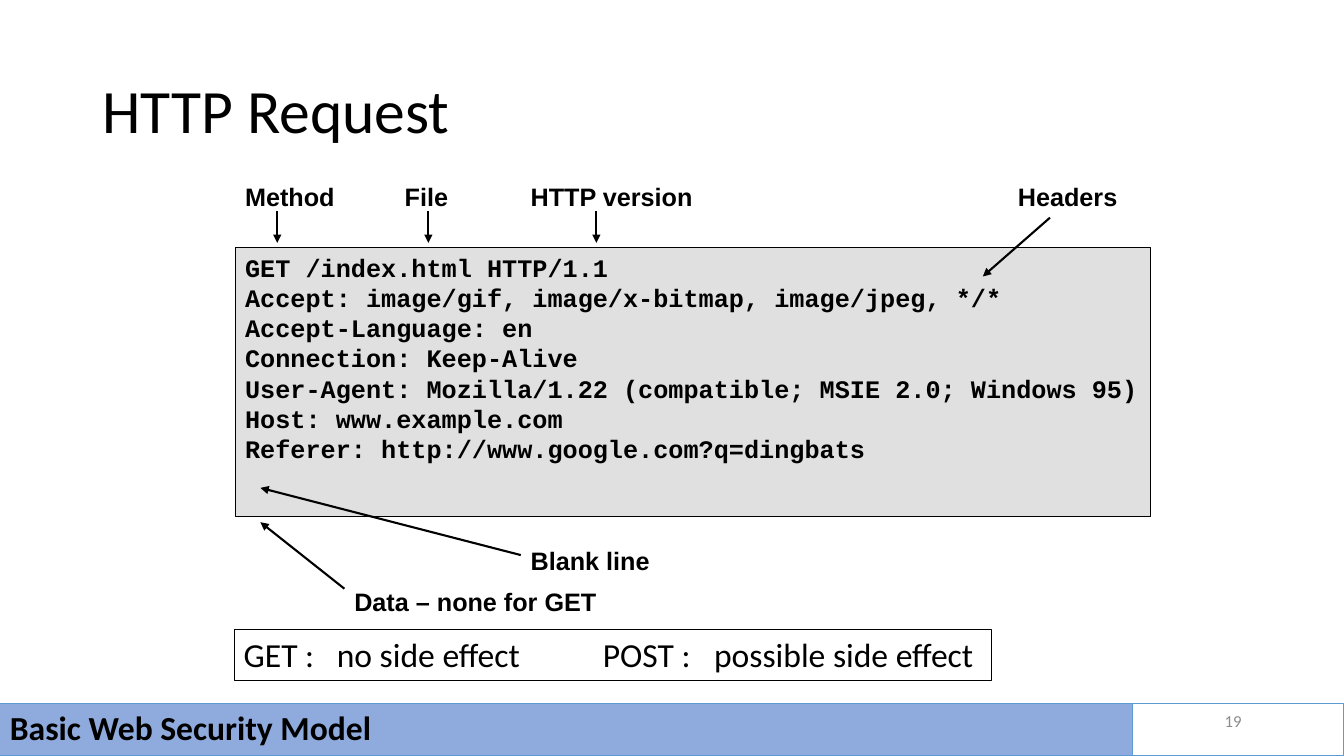
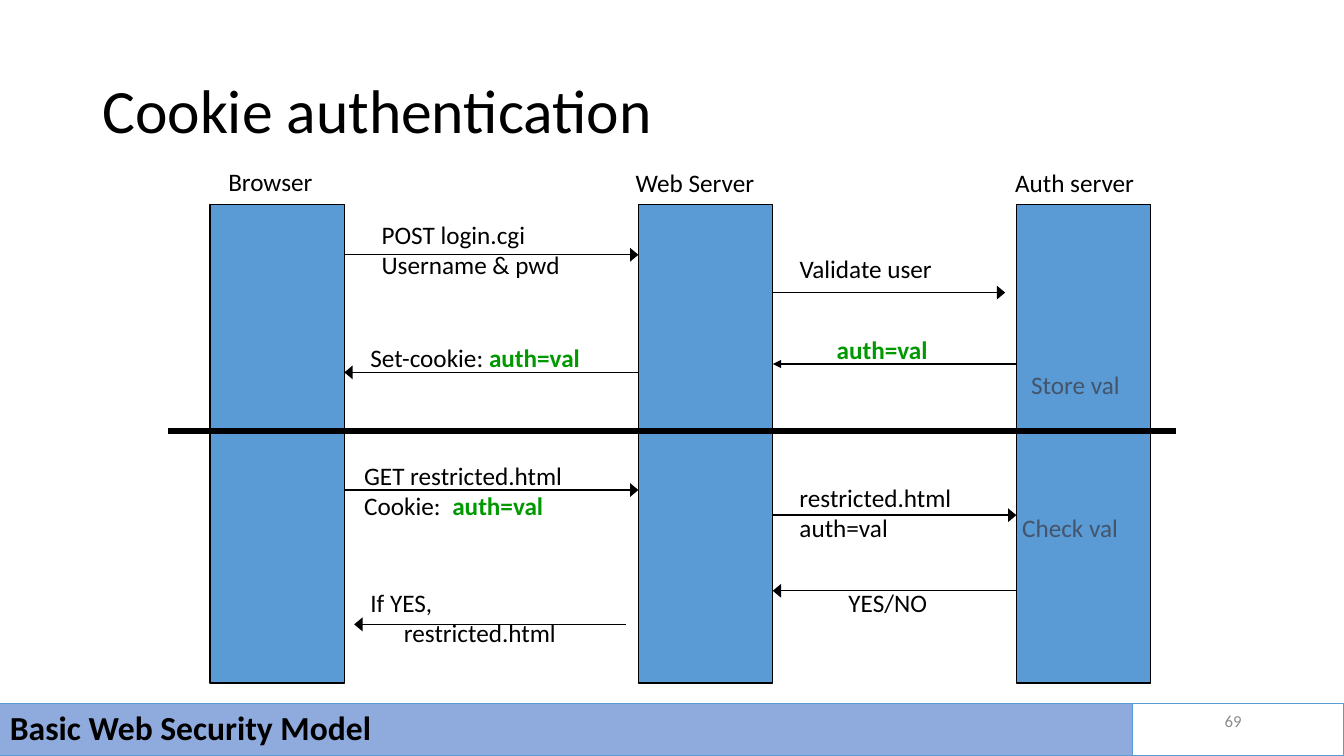
from lxml import etree
from pptx import Presentation
from pptx.dml.color import RGBColor
from pptx.enum.shapes import MSO_CONNECTOR as Connector, MSO_SHAPE as Preset
from pptx.enum.text import MSO_ANCHOR as Anchor, PP_ALIGN as Align
from pptx.oxml.ns import qn
from pptx.util import Pt

BLACK = RGBColor(0x00, 0x00, 0x00)
CODE_GRAY = RGBColor(0xE0, 0xE0, 0xE0)
PAGE_GRAY = RGBColor(0x8C, 0x8C, 0x8C)
BAND_BLUE = RGBColor(0x8F, 0xAA, 0xDC)
LANE_BLUE = RGBColor(0x5B, 0x9B, 0xD5)
SLATE = RGBColor(0x44, 0x54, 0x6A)
GREEN = RGBColor(0x00, 0x99, 0x00)

WIDTH, HEIGHT = 960, 540
BAND_TOP, BAND_SPLIT = 502.5, 809
FOOTER = "Basic Web Security Model"

REQUEST = [
    "GET /index.html HTTP/1.1",
    "Accept: image/gif, image/x-bitmap, image/jpeg, */*",
    "Accept-Language: en",
    "Connection: Keep-Alive",
    "User-Agent: Mozilla/1.22 (compatible; MSIE 2.0; Windows 95)",
    "Host: www.example.com",
    "Referer: http://www.google.com?q=dingbats",
]
CALLOUTS = [
    ("Method", (168, 126, 100), (198, 151, 198, 173.5)),
    ("File", (282, 126, 70), (306, 151, 306, 173.5)),
    ("HTTP version", (372, 126, 160), (426, 151, 426, 173.5)),
    ("Headers", (720, 126, 110), (750, 155.5, 702, 197.5)),
    ("Data – none for GET", (246, 415.5, 220), (246, 420.5, 186, 373)),
    ("Blank line", (372, 386, 130), (372, 396.5, 186, 348.5)),
]
SIDE_EFFECTS = "GET :\tno side effect\tPOST :\tpossible side effect"
SIDE_EFFECT_TABS = (66.5, 256.5, 336)

LANE_TOP, LANE_WIDTH, LANE_HEIGHT = 146, 96, 342
BROWSER, WEB, AUTH = 150, 456, 726
BROWSER_EDGE, WEB_EDGE = BROWSER + LANE_WIDTH, WEB + LANE_WIDTH
LANES = [
    (BROWSER, "Browser", (156, 115, 100)),
    (WEB, "Web Server", (447, 116, 125)),
    (AUTH, "Auth server", (718, 116, 125)),
]
COOKIE = ("auth=val", GREEN)
MESSAGES = [
    (BROWSER_EDGE, WEB, 182, "lg", (265.5, 153, 180), ["POST login.cgi", "Username & pwd"]),
    (WEB_EDGE, 718, 209, "lg", (564, 177.5, 140), ["Validate user"]),
    (AUTH, WEB_EDGE, 260, "med", (590.5, 235, 110), [[COOKIE]]),
    (WEB, BROWSER_EDGE, 266, "lg", (257.5, 241, 195), [[("Set-cookie: ", BLACK), COOKIE]]),
    (BROWSER_EDGE, WEB, 350, "lg", (253, 325, 190),
     ["GET restricted.html", [("Cookie:\t", BLACK), COOKIE]]),
    (WEB_EDGE, AUTH, 368, "lg", (564, 341, 155), ["restricted.html", "auth=val"]),
    (AUTH, WEB_EDGE, 422, "lg", (599, 416, 100), ["YES/NO"]),
    (447, 253, 446, "lg", (257.5, 416, 180), ["If YES,", "\trestricted.html"]),
]
MESSAGE_TABS = (24, 63)
AUTH_STEPS = [("Store val", (729.5, 260, 105)), ("Check val", (723, 362.5, 110))]


def write(shape, lines, size=18, font="Calibri", color=BLACK, bold=False,
          tabs=(), spacing=None, align=Align.LEFT, anchor=Anchor.TOP):
    frame = shape.text_frame
    frame.word_wrap = True
    frame.vertical_anchor = anchor
    for index, line in enumerate(lines):
        paragraph = frame.add_paragraph() if index else frame.paragraphs[0]
        paragraph.alignment = align
        paragraph.line_spacing = spacing
        if tabs:
            stops = etree.SubElement(paragraph._p.get_or_add_pPr(), qn("a:tabLst"))
            for stop in tabs:
                etree.SubElement(stops, qn("a:tab"), pos=str(Pt(stop)), algn="l")
        for text, ink in [(line, color)] if isinstance(line, str) else line:
            run = paragraph.add_run()
            run.text = text
            run.font.name, run.font.size = font, Pt(size)
            run.font.bold = bold or ink == GREEN
            run.font.color.rgb = ink


def text_box(slide, left, top, width, height, lines, **style):
    box = slide.shapes.add_textbox(Pt(left), Pt(top), Pt(width), Pt(height))
    write(box, lines, **style)


def label(slide, place, lines, **style):
    text_box(slide, *place, 7 + 22 * len(lines), lines, **style)


def rectangle(slide, left, top, width, height, fill=None, line=BLACK, weight=0.75):
    panel = slide.shapes.add_shape(Preset.RECTANGLE, Pt(left), Pt(top), Pt(width), Pt(height))
    panel.shadow.inherit = False
    if fill is None:
        panel.fill.background()
    else:
        panel.fill.solid()
        panel.fill.fore_color.rgb = fill
    panel.line.color.rgb = line
    panel.line.width = Pt(weight)
    return panel


def line(slide, x1, y1, x2, y2, weight, head=None):
    rule = slide.shapes.add_connector(Connector.STRAIGHT, Pt(x1), Pt(y1), Pt(x2), Pt(y2))
    rule.line.color.rgb = BLACK
    rule.line.width = Pt(weight)
    if head:
        etree.SubElement(rule.line._get_or_add_ln(), qn("a:tailEnd"),
                         type="triangle", w=head, len="med")
    etree.SubElement(rule._element.spPr, qn("a:effectLst"))


def start_slide(deck, title, number):
    slide = deck.slides.add_slide(deck.slide_layouts[6])
    text_box(slide, 66, 29, 828, 104, [title], size=44, spacing=0.9, anchor=Anchor.MIDDLE)
    band_height = HEIGHT - BAND_TOP
    band = rectangle(slide, 0, BAND_TOP, BAND_SPLIT, band_height, BAND_BLUE, LANE_BLUE)
    write(band, [FOOTER], size=24, bold=True, spacing=0.9, anchor=Anchor.MIDDLE)
    rectangle(slide, BAND_SPLIT, BAND_TOP, WIDTH - BAND_SPLIT, band_height, line=LANE_BLUE)
    text_box(slide, 678, 500.5, 216, 29, [str(number)], size=12, color=PAGE_GRAY,
             align=Align.RIGHT, anchor=Anchor.MIDDLE)
    return slide


def build_request(deck):
    slide = start_slide(deck, "HTTP Request", 19)
    code = rectangle(slide, 168, 176.5, 654, 192.5, CODE_GRAY)
    write(code, REQUEST, font="Courier New", bold=True)
    for name, place, pointer in CALLOUTS:
        label(slide, place, [name], font="Arial", bold=True)
        line(slide, *pointer, 1.5, head="med")
    effects = rectangle(slide, 167, 449.5, 541, 36.5, weight=0.25)
    write(effects, [SIDE_EFFECTS], size=24, tabs=SIDE_EFFECT_TABS)


def build_cookie(deck):
    slide = start_slide(deck, "Cookie authentication", 69)
    for left, name, place in LANES:
        rectangle(slide, left, LANE_TOP, LANE_WIDTH, LANE_HEIGHT, LANE_BLUE, weight=1)
        label(slide, place, [name])
    for start, end, y, head, place, lines in MESSAGES:
        line(slide, start, y, end, y, 1, head)
        label(slide, place, lines, tabs=MESSAGE_TABS)
    line(slide, 120, 308, 840, 308, 4.5)
    for step, place in AUTH_STEPS:
        label(slide, place, [step], color=SLATE)


def main():
    """Build the two web security slides."""
    deck = Presentation()
    deck.slide_width, deck.slide_height = Pt(WIDTH), Pt(HEIGHT)
    build_request(deck)
    build_cookie(deck)
    deck.save("out.pptx")


if __name__ == "__main__":
    main()
